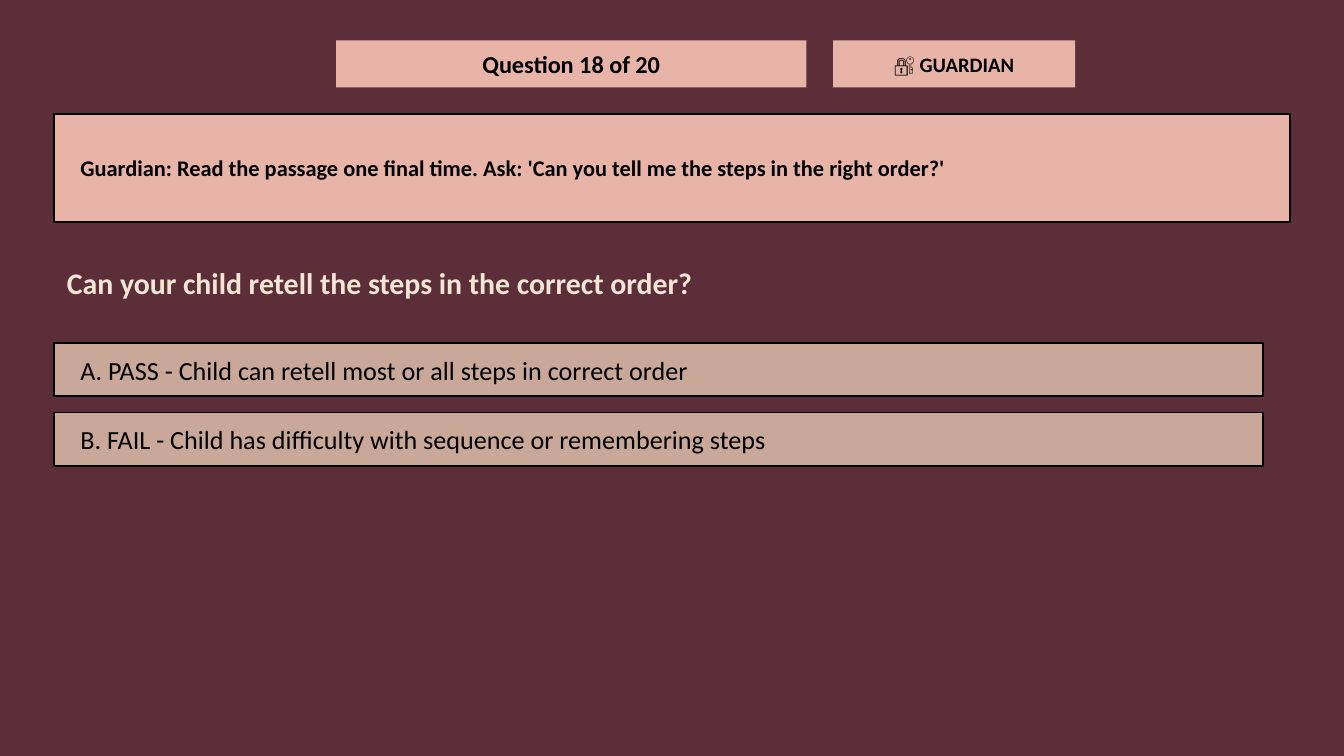
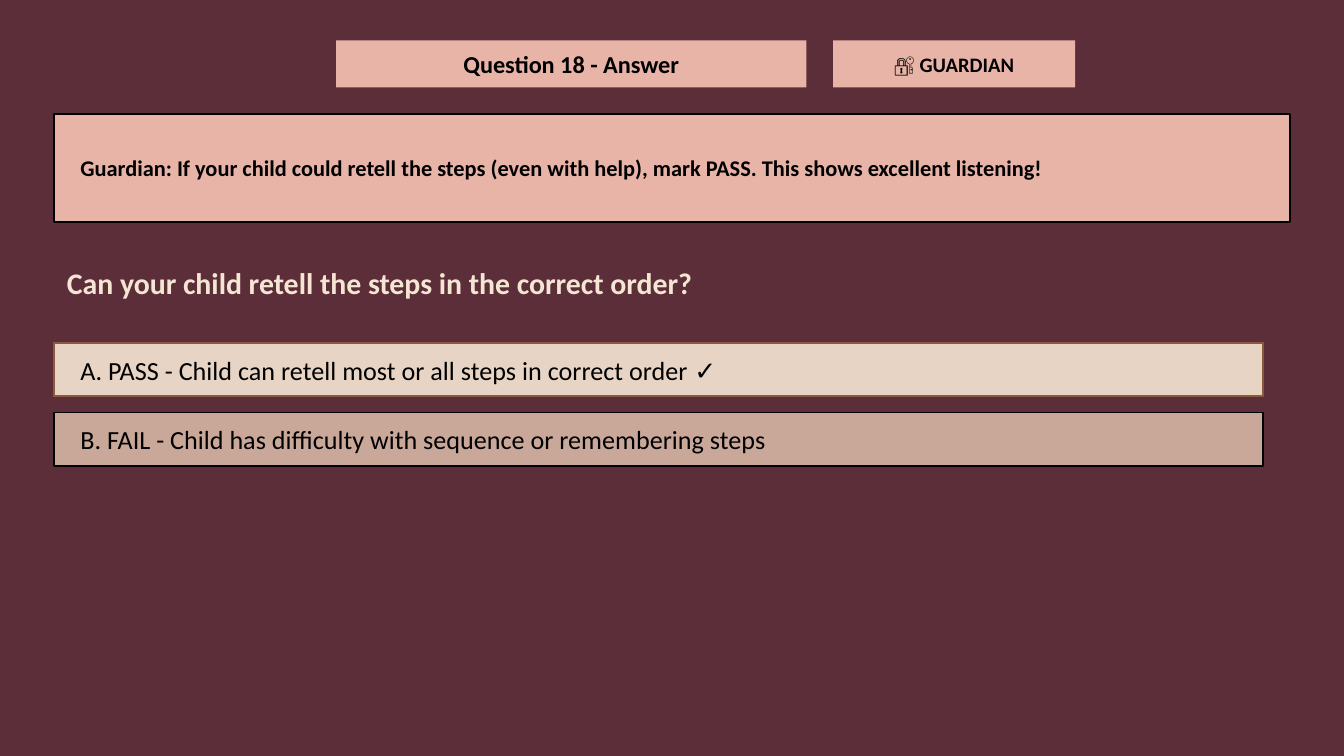
from pptx import Presentation
from pptx.dml.color import RGBColor
from pptx.enum.shapes import MSO_SHAPE
from pptx.enum.text import MSO_ANCHOR, MSO_AUTO_SIZE, PP_ALIGN
from pptx.util import Inches, Pt

COLORS = {
    "back": "5C2E3A",
    "pink": "E8B4A8",
    "tan": "C9A89A",
    "right": "E8D4C4",
    "brown": "8B5A3C",
    "cream": "F5E6D3",
    "black": "000000",
}
FONT = "Calibri"
ASK = "Can your child retell the steps in the correct order?"
PASS = "A. PASS - Child can retell most or all steps in correct order"
FAIL = "B. FAIL - Child has difficulty with sequence or remembering steps"
PLAIN = ("tan", "black")
RIGHT = ("right", "brown")

# Title, guardian note, and answers with their fill and line colours
PAGES = [
    ("Question 18 of 20",
     "Guardian: Read the passage one final time. "
     "Ask: 'Can you tell me the steps in the right order?'",
     [(PASS, PLAIN), (FAIL, PLAIN)]),
    ("Question 18 - Answer",
     "Guardian: If your child could retell the steps (even with help), mark PASS. "
     "This shows excellent listening!",
     [(PASS + " ✓", RIGHT), (FAIL, PLAIN)]),
]


def write(shape, text, size=14, color="black", bold=True, align=PP_ALIGN.LEFT):
    frame = shape.text_frame
    frame.text = text
    frame.word_wrap = True
    frame.auto_size = MSO_AUTO_SIZE.NONE
    frame.vertical_anchor = MSO_ANCHOR.MIDDLE
    para = frame.paragraphs[0]
    para.alignment = align
    font = para.runs[0].font
    font.name, font.size, font.bold = FONT, Pt(size), bold
    font.color.rgb = RGBColor.from_string(COLORS[color])


def panel(shapes, area, fill, line=None):
    box = shapes.add_shape(MSO_SHAPE.RECTANGLE, *map(Inches, area))
    box.shadow.inherit = False
    box.fill.solid()
    box.fill.fore_color.rgb = RGBColor.from_string(COLORS[fill])
    if line:
        box.line.color.rgb = RGBColor.from_string(COLORS[line])
        box.line.width = Pt(1)
    else:
        box.line.fill.background()
    return box


deck = Presentation()
deck.slide_width = Inches(10)
deck.slide_height = deck.slide_width * 9 // 16
back = deck.slide_master.background.fill
back.solid()
back.fore_color.rgb = RGBColor.from_string(COLORS["back"])

for head, note, answers in PAGES:
    slide = deck.slides.add_slide(deck.slide_layouts[5])
    shapes = slide.shapes

    # Header: question number and role badge
    title = shapes.title
    title.left, title.top = Inches(2.5), Inches(0.3)
    title.width, title.height = Inches(3.5), Inches(0.35)
    title.fill.solid()
    title.fill.fore_color.rgb = RGBColor.from_string(COLORS["pink"])
    write(title, head, size=13, align=PP_ALIGN.CENTER)
    badge = panel(shapes, (6.2, 0.3, 1.8, 0.35), "pink")
    write(badge, "🔐 GUARDIAN", size=11, align=PP_ALIGN.CENTER)

    # Guardian note and question
    panel(shapes, (0.4, 0.85, 9.2, 0.8), "pink", "black")
    label = shapes.add_textbox(*map(Inches, (0.5, 0.9, 9, 0.7)))
    write(label, note, size=12)
    label = shapes.add_textbox(*map(Inches, (0.4, 1.85, 9.2, 0.5)))
    write(label, ASK, size=16, color="cream")

    # Answers, one row each
    for row, (text, (fill, line)) in enumerate(answers):
        top = 2.55 + 0.52 * row
        panel(shapes, (0.4, top, 9, 0.4), fill, line)
        label = shapes.add_textbox(*map(Inches, (0.5, top + 0.02, 8.8, 0.36)))
        write(label, text, bold=False)

deck.save("out.pptx")
